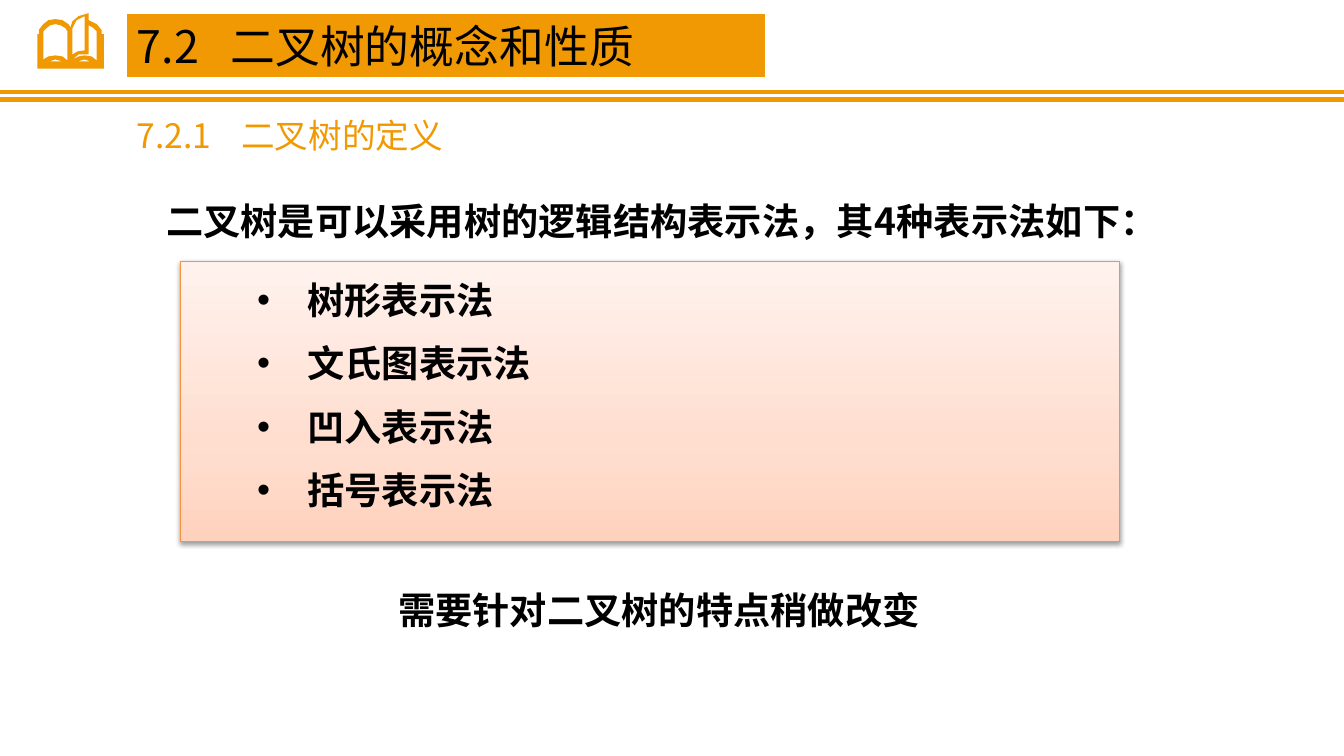
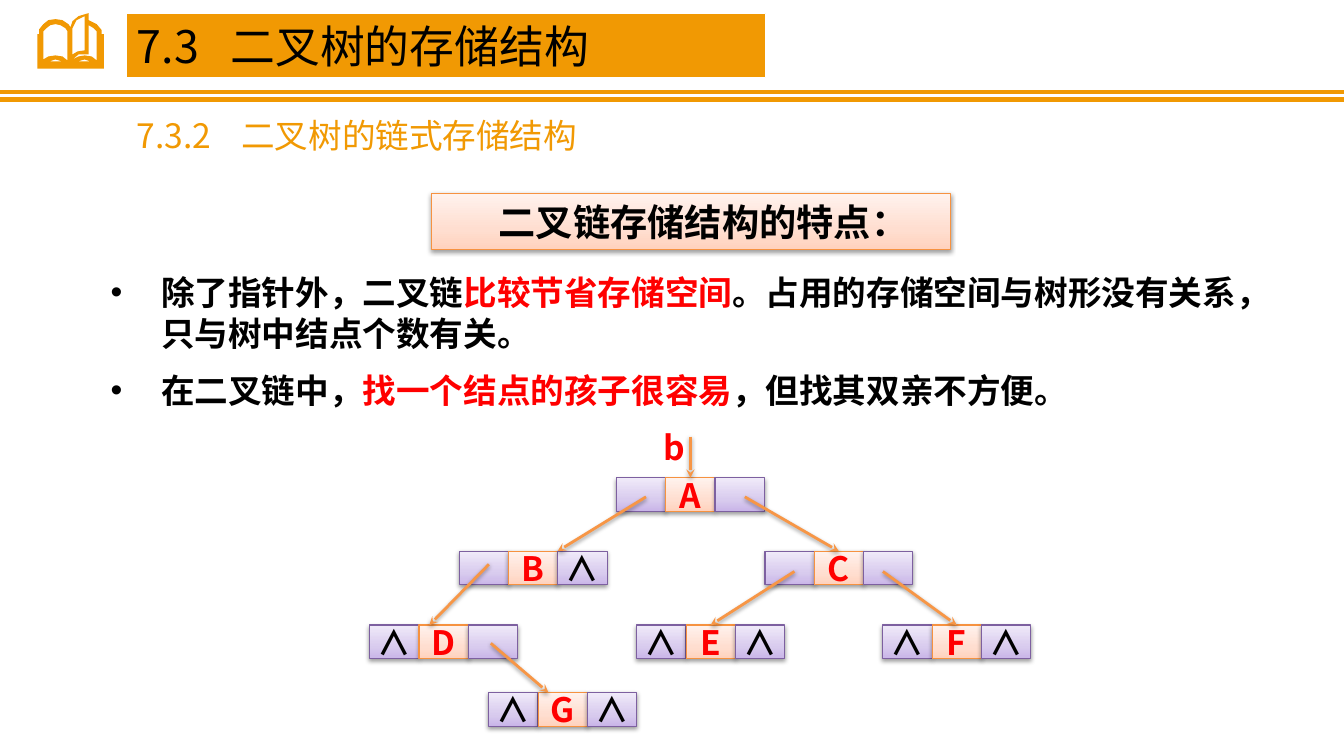
from copy import deepcopy

from lxml.etree import SubElement
from pptx import Presentation
from pptx.dml.color import RGBColor
from pptx.enum.shapes import MSO_CONNECTOR as CONN, MSO_SHAPE as SHAPE
from pptx.enum.text import MSO_ANCHOR as ANCHOR, MSO_AUTO_SIZE as AUTO, PP_ALIGN as ALIGN
from pptx.oxml.ns import qn
from pptx.util import Cm, Pt

FONT = "Noto Sans CJK SC"
COLORS = {
    "brand": "F19903", "text": "000000", "accent": "FF0000", "paper": "FFFFFF",
    "peach_line": "F69240", "violet_line": "7D60A0", "arrow": "F79646",
}
GRADIENTS = {
    "peach": ("FFD2BD", "FFDED0", "FFF2ED"),
    "violet": ("C9B5E8", "D8CBEE", "F0EAF9"),
}
BOOK = [
    [(101, 34), (101, 30), (96, 24), (88, 20), (88, 13), (78, 16), (72, 21),
     (70, 27), (68, 24), (62, 20), (55, 19), (48, 20), (43, 24), (39, 29),
     (39, 34), (37, 34), (37, 68), (103, 68), (103, 34)],
    [(49, 61), (55, 59), (62, 61)],
    [(67, 60), (62, 56), (55, 55), (48, 56), (43, 59), (43, 31), (46, 28),
     (50, 25), (55, 24), (60, 25), (65, 28), (67, 31)],
    [(84, 16), (84, 50), (77, 51), (72, 54), (72, 28), (76, 20)],
    [(77, 61), (84, 59), (90, 61)],
    [(96, 60), (91, 56), (84, 55), (78, 56), (72, 59), (78, 54), (88, 54),
     (88, 25), (93, 28), (96, 31)],
]
CELL_W, CELL_H = 1.24, 0.85
NULL = "∧"


def rgb(name):
    return RGBColor.from_string(COLORS[name])


class Deck:
    def __init__(self):
        self.prs = Presentation()
        self.prs.slide_width, self.prs.slide_height = Cm(33.87), Cm(19.05)
        self.s = None

    def slide(self, number, title, sub_number, subtitle):
        self.s = self.prs.slides.add_slide(self.prs.slide_layouts[5])
        for y in (2.31, 2.51):
            self.line((0, y), (33.87, y), "brand", 3)
        self.book()
        sp = self.s.shapes.title
        sp.left, sp.top, sp.width, sp.height = Cm(3.2), Cm(0.33), Cm(16.1), Cm(1.63)
        sp.fill.solid()
        sp.fill.fore_color.rgb = rgb("brand")
        sp.line.color.rgb = rgb("paper")
        sp.line.width = Pt(0.75)
        self.fill_text(sp, [[(f"{number}\t{title}", "text")]], 32, bold=False,
                       anchor=ANCHOR.MIDDLE, tab=2.36)
        self.text((3.2, 2.77, 16.1, 1.27), [[(f"{sub_number}\t{subtitle}", "brand")]],
                  24, bold=False, tab=2.63)

    def book(self):
        fb = self.s.shapes.build_freeform(*BOOK[0][0], scale=Cm(0.0254))
        fb.add_line_segments(BOOK[0][1:])
        for contour in BOOK[1:]:
            fb.move_to(*contour[0])
            fb.add_line_segments(contour[1:])
        sp = fb.convert_to_shape()
        sp.shadow.inherit = False
        sp.fill.solid()
        sp.fill.fore_color.rgb = rgb("brand")
        sp.line.fill.background()

    def fill_text(self, sp, paragraphs, size, bold=True, align=ALIGN.LEFT, anchor=ANCHOR.TOP,
                  inset=(0.25, 0.13, 0.25, 0.13), wrap=True, gap=0, spacing=None,
                  bullet=None, tab=None):
        tf = sp.text_frame
        tf.word_wrap, tf.auto_size, tf.vertical_anchor = wrap, AUTO.NONE, anchor
        tf.margin_left, tf.margin_top, tf.margin_right, tf.margin_bottom = map(Cm, inset)
        for i, runs in enumerate(paragraphs):
            p = tf.add_paragraph() if i else tf.paragraphs[0]
            p.alignment = align
            pPr = p._p.get_or_add_pPr()
            if bullet:
                pPr.set("marL", str(Cm(bullet)))
                pPr.set("indent", str(Cm(-1.27)))
                SubElement(pPr, qn("a:buFont"), typeface="Arial")
                SubElement(pPr, qn("a:buChar"), char="•")
            if tab:
                tabs = SubElement(pPr, qn("a:tabLst"))
                SubElement(tabs, qn("a:tab"), pos=str(Cm(tab)), algn="l")
            if i and gap:
                p.space_before = Pt(gap)
            if spacing:
                p.line_spacing = spacing
            for text, color in runs:
                r = p.add_run()
                r.text = text
                r.font.name, r.font.size, r.font.bold = FONT, Pt(size), bold
                r.font.color.rgb = rgb(color)
                SubElement(r._r.get_or_add_rPr(), qn("a:ea"), typeface=FONT)

    def text(self, box, paragraphs, size, fill=None, **style):
        sp = self.s.shapes.add_textbox(*map(Cm, box))
        if fill:
            sp.fill.solid()
            sp.fill.fore_color.rgb = rgb(fill)
        self.fill_text(sp, paragraphs, size, **style)

    def panel(self, box, look, paragraphs=(), size=24, **style):
        sp = self.s.shapes.add_shape(SHAPE.RECTANGLE, *map(Cm, box))
        sp.fill.gradient()
        sp.fill.gradient_angle = 90
        spPr = sp.element.spPr
        stops = spPr.find(".//" + qn("a:gsLst"))
        stops.insert(1, deepcopy(stops[0]))
        for stop, position, color in zip(sp.fill.gradient_stops, (0, 0.35, 1), GRADIENTS[look]):
            stop.position = position
            stop.color.rgb = RGBColor.from_string(color)
        sp.line.color.rgb = rgb(look + "_line")
        sp.line.width = Pt(0.75)
        sp.shadow.inherit = False
        self.cast_shadow(spPr.find(qn("a:effectLst")))
        if paragraphs:
            self.fill_text(sp, paragraphs, size, **style)
        return sp

    def cast_shadow(self, effects):
        shadow = SubElement(effects, qn("a:outerShdw"), blurRad="40000", dist="20000",
                            dir="5400000", rotWithShape="0")
        color = SubElement(shadow, qn("a:srgbClr"), val=COLORS["text"])
        SubElement(color, qn("a:alpha"), val="38000")

    def line(self, start, end, color, width):
        cx = self.s.shapes.add_connector(CONN.STRAIGHT, *map(Cm, (*start, *end)))
        cx.line.color.rgb = rgb(color)
        cx.line.width = Pt(width)
        SubElement(cx.element.spPr, qn("a:effectLst"))
        return cx

    def arrow(self, start, end, target=None):
        cx = self.line(start, end, "arrow", 2)
        spPr = cx.element.spPr
        SubElement(spPr.find(qn("a:ln")), qn("a:tailEnd"), type="stealth")
        self.cast_shadow(spPr.find(qn("a:effectLst")))
        if target is not None:
            cx.end_connect(target, 0)

    def node(self, x, y, left, name, right):
        cells = []
        for i, (text, look, color) in enumerate((
                (left, "violet", "text"), (name, "peach", "accent"), (right, "violet", "text"))):
            cells.append(self.panel(
                (x + i * CELL_W, y, CELL_W, CELL_H), look, [[(text, color)]] if text else (),
                align=ALIGN.CENTER, anchor=ANCHOR.MIDDLE, wrap=False))
        return cells[1]


def representations(deck):
    deck.slide("7.2", "二叉树的概念和性质", "7.2.1", "二叉树的定义")
    deck.text((3.94, 4.52, 29.36, 1.73),
              [[("二叉树是可以采用树的逻辑结构表示法，其4种表示法如下：", "text")]],
              26.6, spacing=1.3)
    methods = ("树形表示法", "文氏图表示法", "凹入表示法", "括号表示法")
    deck.panel((4.55, 6.58, 23.67, 7.06), "peach", [[(m, "text")] for m in methods], 26.6,
               align=ALIGN.JUSTIFY, inset=(0.66, 0.41, 0.66, 0.41), gap=13.3, bullet=2.54)
    deck.text((4.93, 14.66, 23.37, 1.4), [[("需要针对二叉树的特点稍做改变", "text")]],
              26.6, align=ALIGN.CENTER)


def linked_storage(deck):
    deck.slide("7.3", "二叉树的存储结构", "7.3.2", "二叉树的链式存储结构")
    deck.text((2.26, 6.45, 29.74, 4.29), [
        [("除了指针外，二叉链", "text"), ("比较节省存储空间", "accent"),
         ("。占用的存储空间与树形没有关系，只与树中结点个数有关。", "text")],
        [("在二叉链中，", "text"), ("找一个结点的孩子很容易", "accent"),
         ("，但找其双亲不方便。", "text")],
    ], 24, fill="paper", inset=(0.53, 0.41, 0.25, 0.41), gap=12, bullet=1.27)
    deck.panel((10.87, 4.88, 13.08, 1.4), "peach", [[("二叉链存储结构的特点：", "text")]],
               26.6, align=ALIGN.CENTER, inset=(0.9, 0.13, 0.25, 0.13))
    nodes = {name: deck.node(x, y, left, name, right) for x, y, left, name, right in (
        (15.54, 12.04, "", "A", ""),
        (11.58, 13.89, "", "B", NULL),
        (19.28, 13.89, "", "C", ""),
        (9.32, 15.75, NULL, "D", ""),
        (16.05, 15.75, NULL, "E", NULL),
        (22.25, 15.75, NULL, "F", NULL),
        (12.32, 17.45, NULL, "G", NULL),
    )}
    for start, end, target in (
            ((16.28, 12.52), (14.05, 13.89), None),
            ((12.32, 14.22), (10.82, 15.75), None),
            ((12.37, 16.21), (13.82, 17.45), None),
            ((18.77, 12.52), (21.14, 13.89), "C"),
            ((20.02, 14.4), (17.91, 15.75), "E"),
            ((22.25, 14.4), (24.11, 15.75), "F"),
            ((17.4, 11), (17.4, 12.04), "A")):
        deck.arrow(start, end, nodes.get(target))
    deck.text((15.88, 10.62, 2.24, 1.27), [[("b", "accent")]], 24, align=ALIGN.CENTER)


def main():
    deck = Deck()
    representations(deck)
    linked_storage(deck)
    deck.prs.save("out.pptx")


if __name__ == "__main__":
    main()
